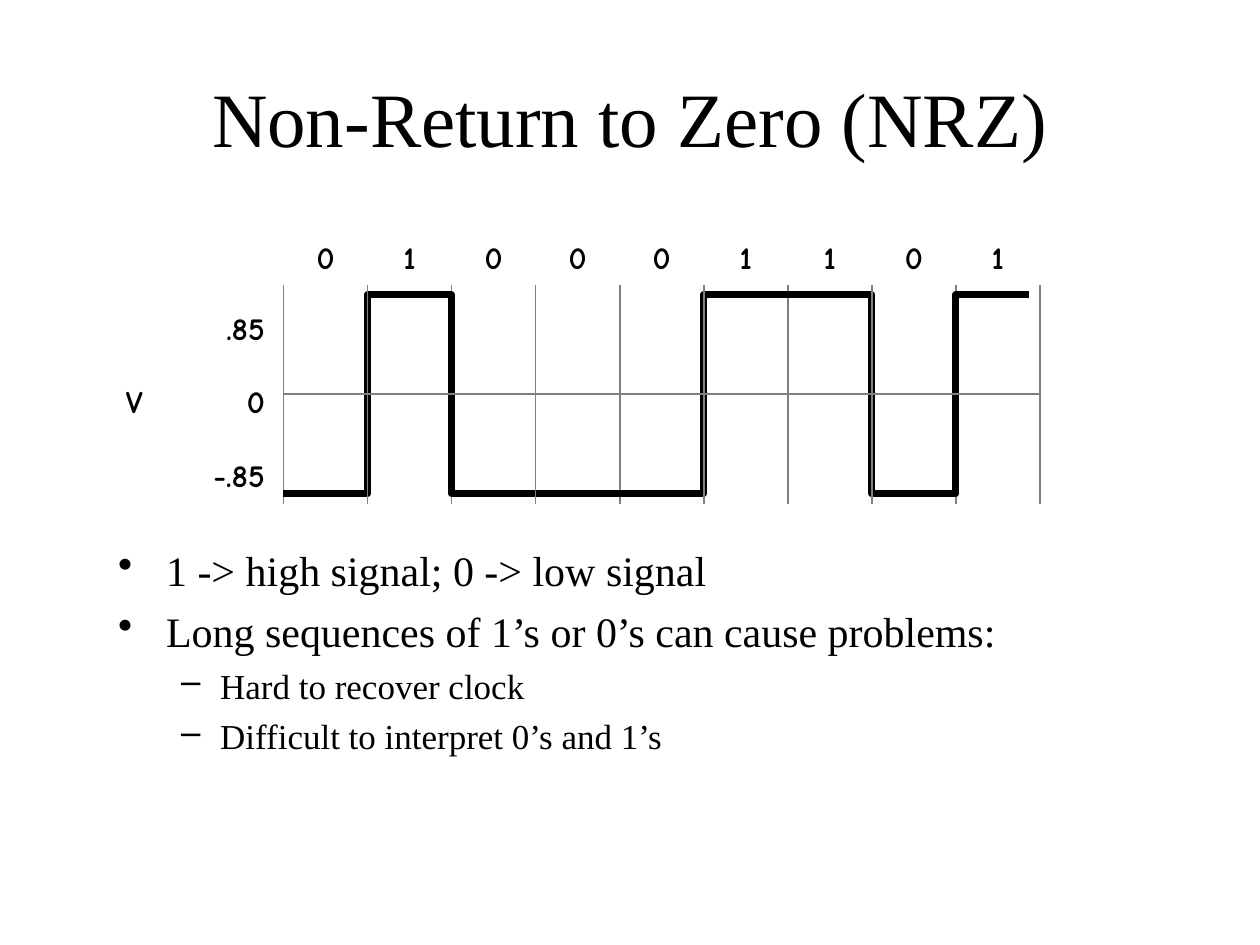
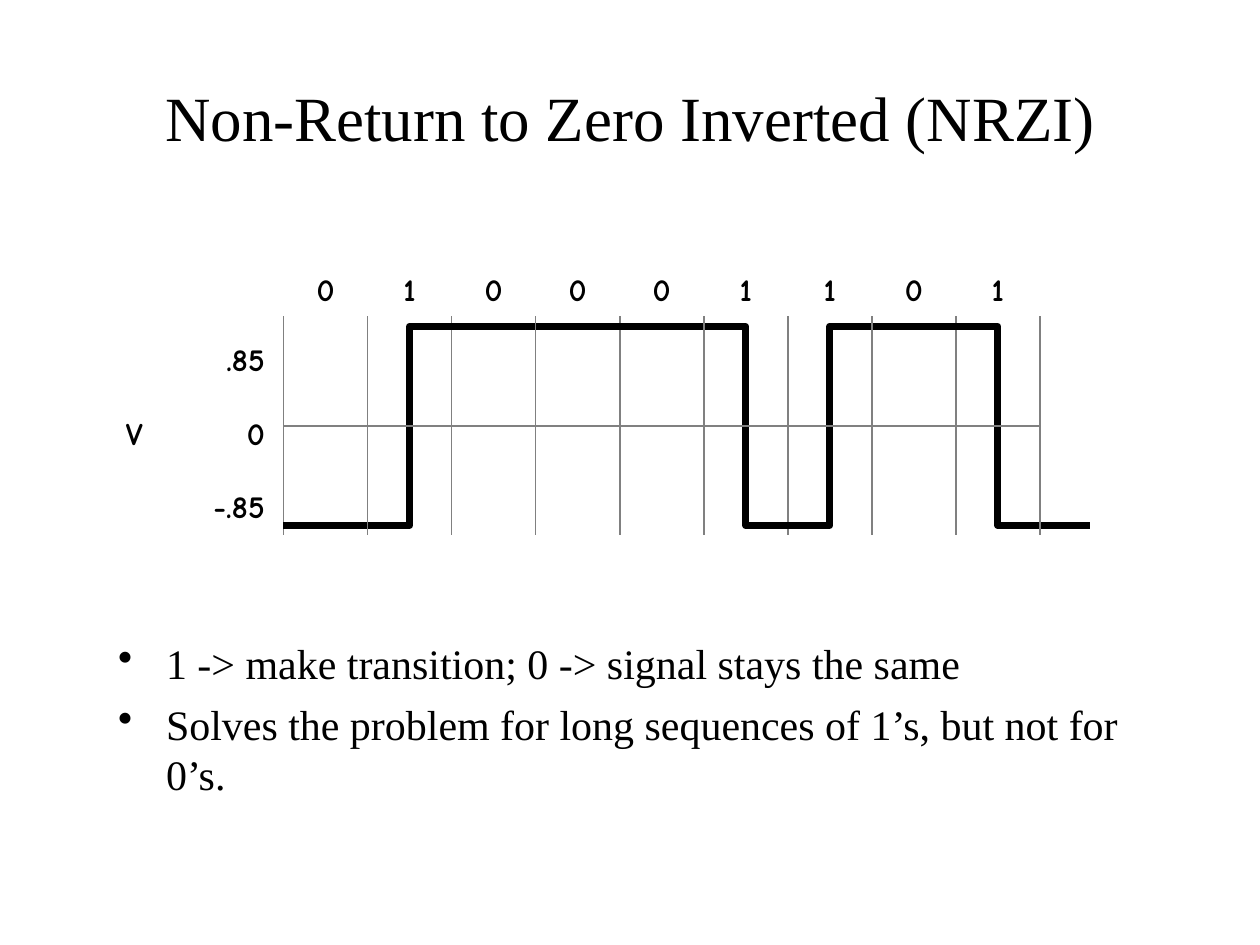
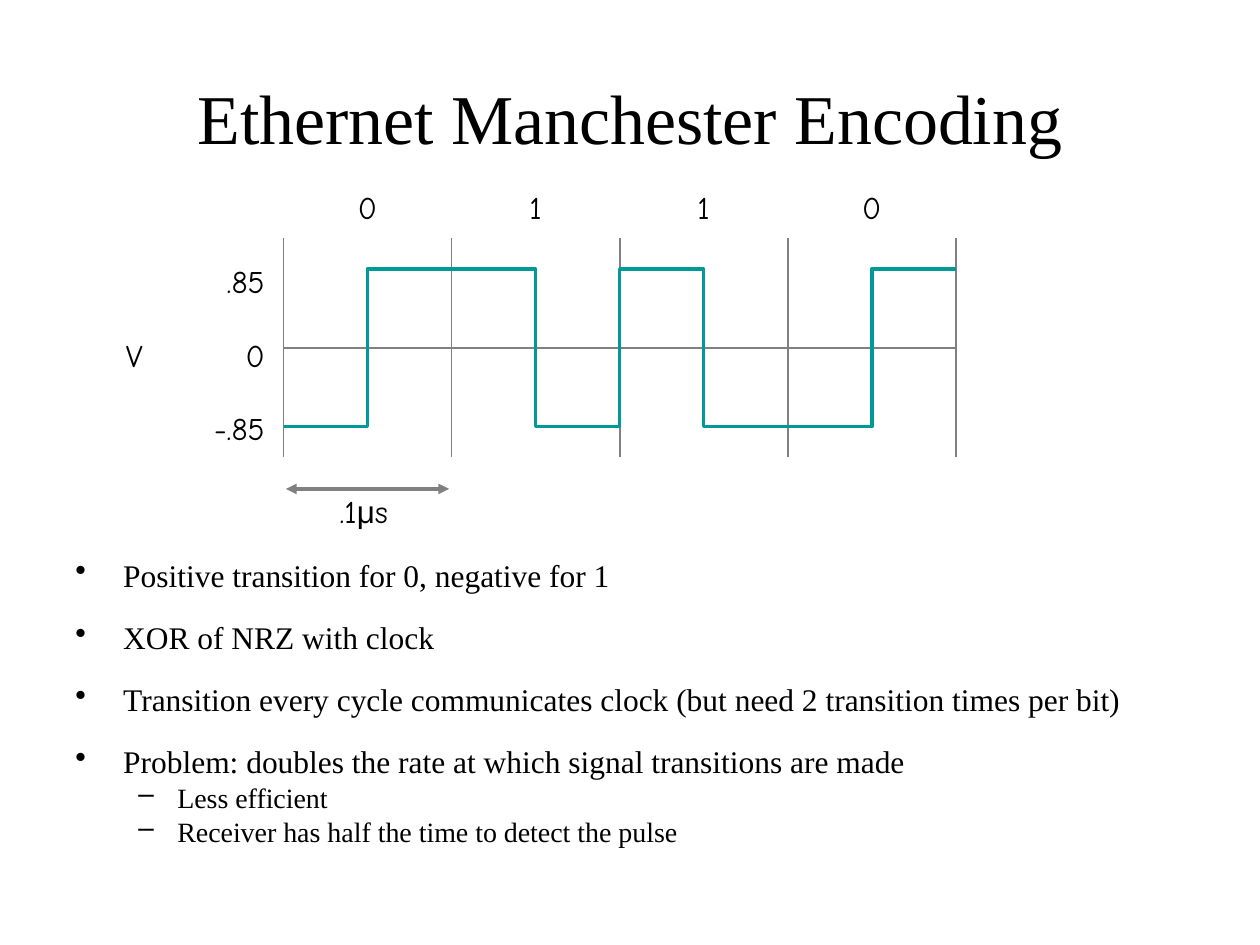
from collections import namedtuple
from dataclasses import dataclass
from lxml import etree
from pptx import Presentation, util as u
from pptx.dml.color import RGBColor
from pptx.enum import shapes, text
from pptx.oxml.ns import qn

Box = namedtuple("Box", "left top width height")


@dataclass(frozen=True)
class Theme:
    ink: str = "000000"
    rule: str = "808080"
    accent: str = "009999"
    serif: str = "Times New Roman"
    hand: str = "Comic Neue"
    sans: str = "Arial"
    label: int = 18
    rule_width: int = 1


THEME = Theme()
ALIGN = text.PP_ALIGN

deck = Presentation()
deck.slide_width, deck.slide_height = u.Inches(10.01), u.Inches(7.51)
COLUMN, ROW = deck.slide_width / 100, deck.slide_height / 75

TITLE = Box(5, 3, 90, 12.5)
PLOT_LEFT, PLOT_HEIGHT, CELL = 22.5, 17.4, 6.67
LABEL_HEIGHT = 4
BULLETS = [("•", 0.38, 0.38), ("–", 0.81, 0.31)]


def across(columns):
    return round(columns * COLUMN)


def down(rows):
    return round(rows * ROW)


def text_box(page, box):
    shape = page.shapes.add_textbox(across(box.left), down(box.top),
                                    across(box.width), down(box.height))
    shape.text_frame.word_wrap = True
    return shape.text_frame


def add_span(para, words, font, size, bold=False):
    span = para.add_run()
    span.text = words
    span.font.name, span.font.size, span.font.bold = font, u.Pt(size), bold
    span.font.color.rgb = RGBColor.from_string(THEME.ink)


def add_label(page, box, spans, align=ALIGN.CENTER, bold=False):
    para = text_box(page, box).paragraphs[0]
    para.alignment = align
    for words, font in spans:
        add_span(para, words, font, THEME.label, bold)


def add_title(page, box, words, size):
    frame = text_box(page, box)
    frame.vertical_anchor = text.MSO_ANCHOR.MIDDLE
    para = frame.paragraphs[0]
    para.alignment = ALIGN.CENTER
    add_span(para, words, THEME.serif, size)


def add_bullets(page, box, items, sizes, gap=None, spacing=None):
    frame = text_box(page, box)
    for index, (level, words) in enumerate(items):
        para = frame.add_paragraph() if index else frame.paragraphs[0]
        size = sizes[level]
        wide = gap and index and level == 0
        para.space_before = u.Pt(gap if wide else size / 4)
        para.line_spacing = spacing
        mark, margin, hang = BULLETS[level]
        props = para._p.get_or_add_pPr()
        props.set("marL", str(u.Inches(margin)))
        props.set("indent", str(-u.Inches(hang)))
        etree.SubElement(props, qn("a:buChar")).set("char", mark)
        add_span(para, words, THEME.serif, size)


def add_rule(page, start, end, width=THEME.rule_width, arrows=False):
    rule = page.shapes.add_connector(
        shapes.MSO_CONNECTOR.STRAIGHT, across(start[0]), down(start[1]),
        across(end[0]), down(end[1]))
    rule.line.color.rgb = RGBColor.from_string(THEME.rule)
    rule.line.width = u.Pt(width)
    if arrows:
        for side in ("a:headEnd", "a:tailEnd"):
            etree.SubElement(rule.line._ln, qn(side)).set("type", "triangle")
    etree.SubElement(rule._element.spPr, qn("a:effectLst"))


def add_bit_rules(page, box, cell, indexes):
    for index in indexes:
        x = box.left + index * cell
        add_rule(page, (x, box.top), (x, box.top + box.height))


def add_axis(page, box):
    y = box.top + box.height / 2
    add_rule(page, (box.left, y), (box.left + box.width, y))


def add_wave(page, box, cell, edges, end, swing, color, width):
    middle = box.top + box.height / 2
    low, high = middle + swing, middle - swing
    level, points = low, [(0, low)]
    for edge in edges:
        points.append((edge, level))
        level = high if level == low else low
        points.append((edge, level))
    points.append((end, level))
    start, *rest = [(across(box.left + x * cell), down(y)) for x, y in points]
    builder = page.shapes.build_freeform(*start)
    builder.add_line_segments(rest, close=False)
    wave = builder.convert_to_shape()
    wave.shadow.inherit = False
    wave.fill.background()
    wave.line.color.rgb = RGBColor.from_string(color)
    wave.line.width = u.Pt(width)
    etree.SubElement(wave.line._ln, qn("a:round"))


def add_plot_labels(page, box, cell, bits, lift, bold):
    middle = box.top + box.height / 2 - 1.45
    add_label(page, Box(9, middle, 4, LABEL_HEIGHT), [("V", THEME.hand)],
              ALIGN.LEFT, bold)
    for step, words in enumerate([".85", "0", "-.85"], -1):
        place = Box(box.left - 9.5, middle + step * 5.85, 9, LABEL_HEIGHT)
        add_label(page, place, [(words, THEME.hand)], ALIGN.RIGHT, bold)
    for index, bit in enumerate(bits):
        center = box.left + (index + 0.5) * cell
        place = Box(center - 2.5, box.top - lift, 5, LABEL_HEIGHT)
        add_label(page, place, [(bit, THEME.hand)], bold=bold)


def bit_plot(page, top, bits, edges, end):
    box = Box(PLOT_LEFT, top, len(bits) * CELL, PLOT_HEIGHT)
    add_bit_rules(page, box, CELL, range(0, len(bits) + 1, 2))
    add_wave(page, box, CELL, edges, end, 7.9, THEME.ink, 4)
    add_axis(page, box)
    add_bit_rules(page, box, CELL, range(1, len(bits) + 1, 2))
    add_plot_labels(page, box, CELL, bits, 4.2, True)


def clocked_plot(page, top, bits, edges):
    cell = 2 * CELL
    box = Box(PLOT_LEFT, top, len(bits) * cell, PLOT_HEIGHT)
    period = top + PLOT_HEIGHT + 2.5
    add_rule(page, (box.left + 0.2, period), (box.left + cell - 0.2, period),
             2, arrows=True)
    add_axis(page, box)
    add_bit_rules(page, box, cell, range(len(bits) + 1))
    add_wave(page, box, cell, edges, len(bits), 6.25, THEME.accent, 2)
    add_plot_labels(page, box, cell, bits, 4.5, False)
    add_label(page, Box(box.left + cell / 2 - 5.3, period - 0.2, 10, LABEL_HEIGHT),
              [(".1", THEME.hand), ("μ", THEME.sans), ("s", THEME.hand)])


def nrz_edges(bits):
    return [i for i in range(1, len(bits)) if bits[i] != bits[i - 1]]


def nrzi_edges(bits):
    return [i + 0.5 for i, bit in enumerate(bits) if bit == "1"]


def manchester_edges(bits):
    middles = [i + 0.5 for i in range(len(bits))]
    repeats = [i for i in range(1, len(bits)) if bits[i] == bits[i - 1]]
    return sorted(middles + repeats)


def new_page(title, size):
    page = deck.slides.add_slide(deck.slide_layouts[6])
    add_title(page, TITLE, title, size)
    return page


BITS = "010001101"
CLOCKED_BITS = "0110"

page = new_page("Non-Return to Zero (NRZ)", 44)
add_bullets(page, Box(8.4, 42.7, 84.8, 21), [
    (0, "1 -> high signal; 0 -> low signal"),
    (0, "Long sequences of 1’s or 0’s can cause problems:"),
    (1, "Hard to recover clock"),
    (1, "Difficult to interpret 0’s and 1’s"),
], (24, 20))
bit_plot(page, 22.6, BITS, nrz_edges(BITS), 8.87)

page = new_page("Non-Return to Zero Inverted (NRZI)", 36)
add_bullets(page, Box(8.4, 50.1, 85, 20.8), [
    (0, "1 -> make transition; 0 -> signal stays the same"),
    (0, "Solves the problem for long sequences of 1’s, but not for 0’s."),
], (24, 20))
bit_plot(page, 25.1, BITS, nrzi_edges(BITS), 9.6)

page = new_page("Ethernet Manchester Encoding", 40)
add_bullets(page, Box(5, 44.2, 90, 25.8), [
    (0, "Positive transition for 0, negative for 1"),
    (0, "XOR of NRZ with clock"),
    (0, "Transition every cycle communicates clock (but need 2 transition times per bit)"),
    (0, "Problem: doubles the rate at which signal transitions are made"),
    (1, "Less efficient"),
    (1, "Receiver has half the time to detect the pulse"),
], (18, 16), gap=18.3, spacing=0.8)
clocked_plot(page, 18.9, CLOCKED_BITS, manchester_edges(CLOCKED_BITS))

deck.save("out.pptx")
